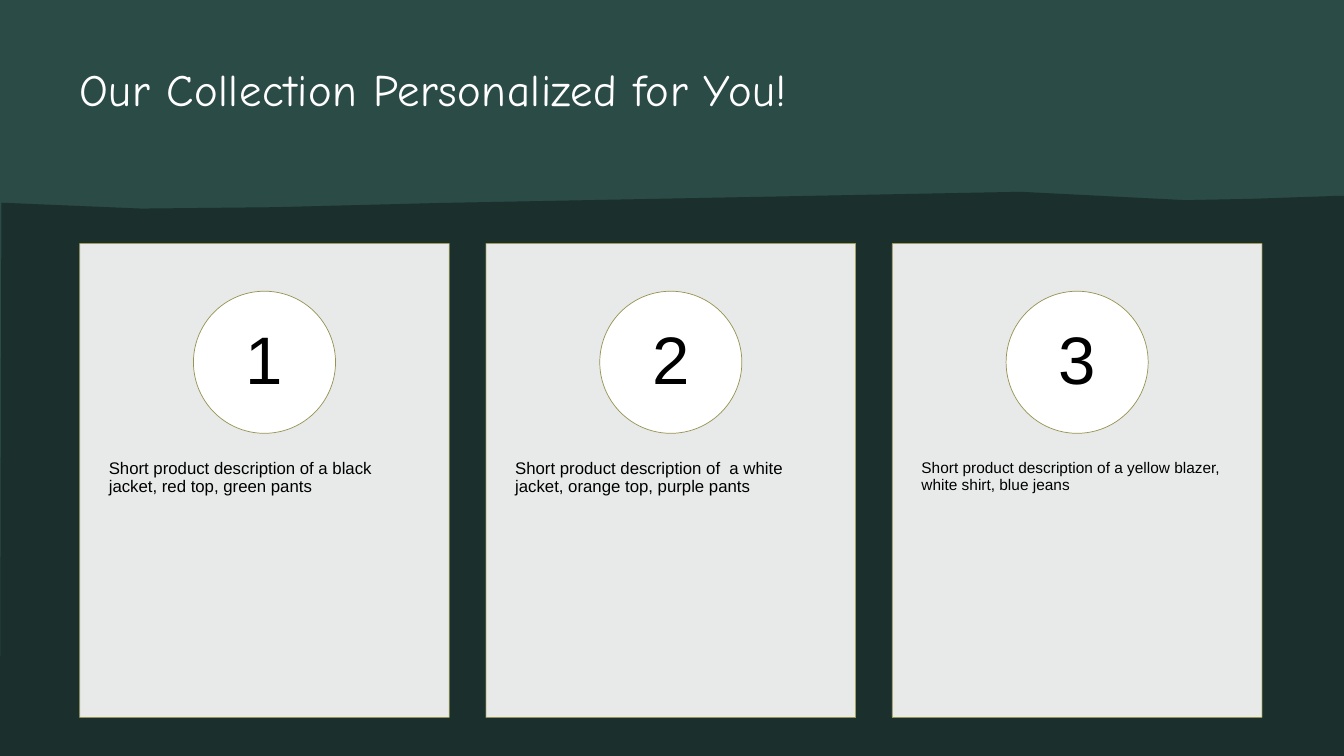
import pptx
import pptx.dml.color
import pptx.enum.shapes
import pptx.enum.text
import pptx.oxml
import pptx.oxml.ns
import pptx.util
from lxml import etree

Pt = pptx.util.Pt
SHAPES = pptx.enum.shapes.MSO_SHAPE
ALIGN = pptx.enum.text.PP_ALIGN
ANCHOR = pptx.enum.text.MSO_ANCHOR

WIDTH, HEIGHT = 960, 540
CARD_LEFT, CARD_TOP, CARD_PITCH = 56.9, 174, 290.25
CARD_WIDTH, CARD_HEIGHT = 264, 338.5
BADGE_TOP, BADGE_SIZE = 208, 101.5
WAVE = [
    (728.6, 136.6), (847.4, 142.6), (895, 141.8), (952.6, 140.4),
    (WIDTH, 140.4), (WIDTH, HEIGHT), (0, HEIGHT), (0.7, 145.4),
    (5.8, 145.4), (100.8, 149), (195.8, 147.6), (313.9, 144.7),
]
CARDS = [
    ("Short product description of a black jacket, red top, green pants", 12),
    ("Short product description of  a white jacket, orange top, purple pants", 12),
    ("Short product description of a yellow blazer, white shirt, blue jeans", 11),
]


def color(value):
    return pptx.dml.color.RGBColor.from_string(value)


def set_opacity(properties, percent):
    """Add an alpha value to the fill and line colours of a shape."""
    for swatch in properties.iter(pptx.oxml.ns.qn("a:srgbClr")):
        alpha = etree.SubElement(swatch, pptx.oxml.ns.qn("a:alpha"))
        alpha.set("val", str(percent * 1000))


class SlideBuilder:
    dark = "1B2F2C"
    green = "2B4B46"
    white = "FFFFFF"
    black = "000000"
    card_edge = "A7A259"
    accent = "989351"
    body_font = "Arial"
    title_font = "Comic Neue"

    def __init__(self, deck):
        self.page = deck.slides.add_slide(deck.slide_layouts[5])
        fill = self.page.background.fill
        fill.solid()
        fill.fore_color.rgb = color(self.dark)

    def paint(self, shape, fill, line=None):
        shape.shadow.inherit = False
        shape.fill.solid()
        shape.fill.fore_color.rgb = color(fill)
        if line:
            shape.line.color.rgb = color(line)
            shape.line.width = Pt(0.5)
        else:
            shape.line.fill.background()

    def shape(self, kind, left, top, width, height, fill, line=None):
        shape = self.page.shapes.add_shape(kind, Pt(left), Pt(top), Pt(width), Pt(height))
        self.paint(shape, fill, line)
        return shape

    def set_text(self, box, text, size, ink, font, insets=(0, 0, 0, 0),
                 align=ALIGN.LEFT, anchor=ANCHOR.TOP, line_spacing=0.9):
        frame = box.text_frame
        frame.word_wrap = True
        frame.auto_size = pptx.enum.text.MSO_AUTO_SIZE.NONE
        frame.vertical_anchor = anchor
        (frame.margin_left, frame.margin_top,
         frame.margin_right, frame.margin_bottom) = map(Pt, insets)
        frame.text = text
        para = frame.paragraphs[0]
        para.alignment = align
        para.line_spacing = line_spacing
        para.space_before = Pt(0)
        span = para.runs[0]
        span.font.size = Pt(size)
        span.font.name = font
        span.font.color.rgb = color(ink)
        return span

    def title(self, text, left, top, width, height):
        box = self.page.shapes.title
        box.left, box.top, box.width, box.height = map(Pt, (left, top, width, height))
        span = self.set_text(box, text, 32, self.white, self.title_font, line_spacing=0.88)
        span.font._element.set("spc", "40")

    def backdrop(self):
        """Cover the page in green, behind the title."""
        panel = self.shape(SHAPES.RECTANGLE, 0, 0, WIDTH, HEIGHT, self.green)
        self.page.shapes._spTree.insert(2, panel._element)

    def outline(self, points, fill):
        builder = self.page.shapes.build_freeform(*points[0], scale=Pt(1))
        builder.add_line_segments(points[1:], close=True)
        self.paint(builder.convert_to_shape(), fill)

    def rule(self, left, top, width):
        line = self.page.shapes.add_connector(
            pptx.enum.shapes.MSO_CONNECTOR.STRAIGHT,
            Pt(left), Pt(top), Pt(left + width), Pt(top))
        line.line.color.rgb = color(self.accent)
        line.line.width = Pt(0.5)
        etree.SubElement(line._element.spPr, pptx.oxml.ns.qn("a:effectLst"))

    def card(self, left, number, text, size):
        panel = self.shape(SHAPES.RECTANGLE, left, CARD_TOP, CARD_WIDTH, CARD_HEIGHT,
                           self.white, self.card_edge)
        set_opacity(panel._element.spPr, 90)
        self.set_text(panel, text, size, self.black, self.body_font, (20.8, 154.8, 20.8, 33))
        badge = self.shape(SHAPES.OVAL, left + (CARD_WIDTH - BADGE_SIZE) / 2, BADGE_TOP,
                           BADGE_SIZE, BADGE_SIZE, self.white, self.accent)
        # The oval's text area is already inset by about 15 points.
        self.set_text(badge, str(number), 48, self.black, self.body_font, (8, 1, 8, 1),
                      ALIGN.CENTER, ANCHOR.MIDDLE)
        self.rule(left, CARD_TOP + CARD_HEIGHT, CARD_WIDTH)


def main():
    deck = pptx.Presentation()
    deck.slide_width, deck.slide_height = Pt(WIDTH), Pt(HEIGHT)
    slide = SlideBuilder(deck)
    slide.backdrop()
    slide.title("Our Collection Personalized for You!", CARD_LEFT, 49, 844.5, 54)
    slide.outline(WAVE, slide.dark)
    for index, (text, size) in enumerate(CARDS):
        slide.card(CARD_LEFT + index * CARD_PITCH, index + 1, text, size)
    deck.save("out.pptx")


if __name__ == "__main__":
    main()
